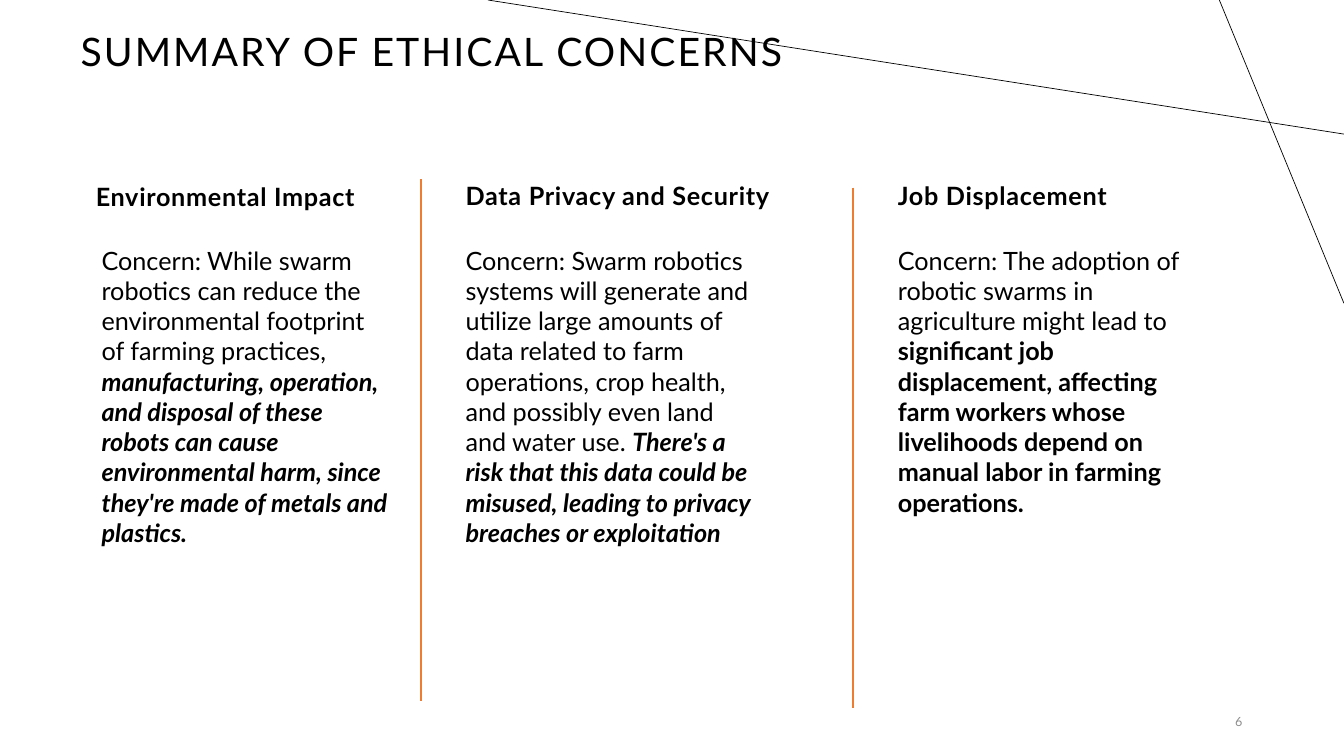
from dataclasses import dataclass

from pptx import Presentation
from pptx.dml.color import RGBColor
from pptx.enum.shapes import MSO_CONNECTOR as Conn
from pptx.enum.text import MSO_ANCHOR as Anchor, MSO_AUTO_SIZE as AutoSize, PP_ALIGN as Align
from pptx.oxml.ns import qn
from pptx.shapes.base import BaseShape
from pptx.slide import Slide
from pptx.util import Pt
from lxml.etree import SubElement

COLORS = {"text": "000000", "accent": "ED7D31", "muted": "8C8C8C"}
FONT = "Lato"
HEADING_TOP, HEADING_HEIGHT = 128, 27.5
BODY_TOP, BODY_WIDTH, BODY_HEIGHT = 171.5, 221, 225.5


@dataclass(frozen=True)
class Run:
    text: str
    size: float = 18
    color: str = "text"
    bold: bool = False
    italic: bool = False
    spacing: float = 0


@dataclass(frozen=True)
class Line:
    x1: float
    y1: float
    x2: float
    y2: float
    color: str
    width: float


@dataclass(frozen=True)
class Concern:
    heading: str
    heading_left: float
    heading_width: float
    body_left: float
    runs: tuple[Run, ...]


LINES = (
    Line(960, 95.8, 348.5, 0, "text", 0.5),
    Line(871, 0, 960, 216.7, "text", 0.5),
    Line(301, 128, 301, 500.5, "accent", 1.5),
    Line(609, 134, 609, 506, "accent", 1.5),
)

CONCERNS = (
    Concern("Environmental Impact", 61.2, 214.5, 65.5, (
        Run("Concern: While swarm robotics can reduce the environmental footprint of farming practices, "),
        Run("manufacturing, operation, and disposal of these robots can cause environmental harm, "
            "since they're made of metals and plastics.", bold=True, italic=True),
    )),
    Concern("Data Privacy and Security", 325.5, 232.5, 325.5, (
        Run("Concern: Swarm robotics systems will generate and utilize large amounts of data related "
            "to farm operations, crop health, and possibly even land and water use. "),
        Run("There's a risk that this data could be misused, leading to privacy breaches or "
            "exploitation", bold=True, italic=True),
    )),
    Concern("Job Displacement", 634.3, 232.5, 634.3, (
        Run("Concern: The adoption of robotic swarms in agriculture might lead to "),
        Run("significant job displacement, affecting farm workers whose livelihoods depend on "
            "manual labor in farming operations.", bold=True),
    )),
)


def add_line(s: Slide, line: Line) -> None:
    c = s.shapes.add_connector(
        Conn.STRAIGHT, Pt(line.x1), Pt(line.y1), Pt(line.x2), Pt(line.y2))
    c.line.color.rgb = RGBColor.from_string(COLORS[line.color])
    c.line.width = Pt(line.width)
    SubElement(c._element.spPr, qn("a:effectLst"))


def add_box(s: Slide) -> BaseShape:
    return s.shapes.add_textbox(0, 0, 0, 0)


def fill_text(sp: BaseShape, left: float, top: float, width: float, height: float,
              runs: tuple[Run, ...], line_spacing: float = 1.0,
              align: Align = Align.LEFT, anchor: Anchor = Anchor.TOP) -> None:
    sp.left, sp.top, sp.width, sp.height = Pt(left), Pt(top), Pt(width), Pt(height)
    tf = sp.text_frame
    tf.word_wrap = True
    tf.auto_size = AutoSize.NONE
    tf.vertical_anchor = anchor
    p = tf.paragraphs[0]
    pPr = p._p.get_or_add_pPr()
    pPr.set("marL", "0")
    pPr.set("indent", "0")
    SubElement(pPr, qn("a:buNone"))
    p.alignment = align
    p.line_spacing = line_spacing
    p.space_before = Pt(0)
    for run in runs:
        r = p.add_run()
        r.text = run.text
        r.font.name = FONT
        r.font.size = Pt(run.size)
        r.font.bold = run.bold
        r.font.italic = run.italic
        r.font.color.rgb = RGBColor.from_string(COLORS[run.color])
        if run.spacing:
            r._r.get_or_add_rPr().set("spc", str(round(run.spacing * 100)))


def main() -> None:
    prs = Presentation()
    prs.slide_width, prs.slide_height = Pt(960), Pt(540)
    s = prs.slides.add_slide(prs.slide_layouts[1])
    for line in LINES:
        add_line(s, line)
    fill_text(s.shapes.title, 50.4, 19.5, 784, 44,
              (Run("SUMMARY OF ETHICAL CONCERNS", size=28, spacing=1.5),), 0.9)
    for i, concern in enumerate(CONCERNS):
        heading = s.placeholders[1] if i == 0 else add_box(s)
        fill_text(heading, concern.heading_left, HEADING_TOP, concern.heading_width,
                  HEADING_HEIGHT, (Run(concern.heading, bold=True, spacing=0.5),), 0.9)
        fill_text(add_box(s), concern.body_left, BODY_TOP, BODY_WIDTH, BODY_HEIGHT, concern.runs)
    fill_text(add_box(s), 816.5, 500.5, 78, 29, (Run("6", size=9, color="muted"),),
              align=Align.RIGHT, anchor=Anchor.MIDDLE)
    prs.save("out.pptx")


if __name__ == "__main__":
    main()
